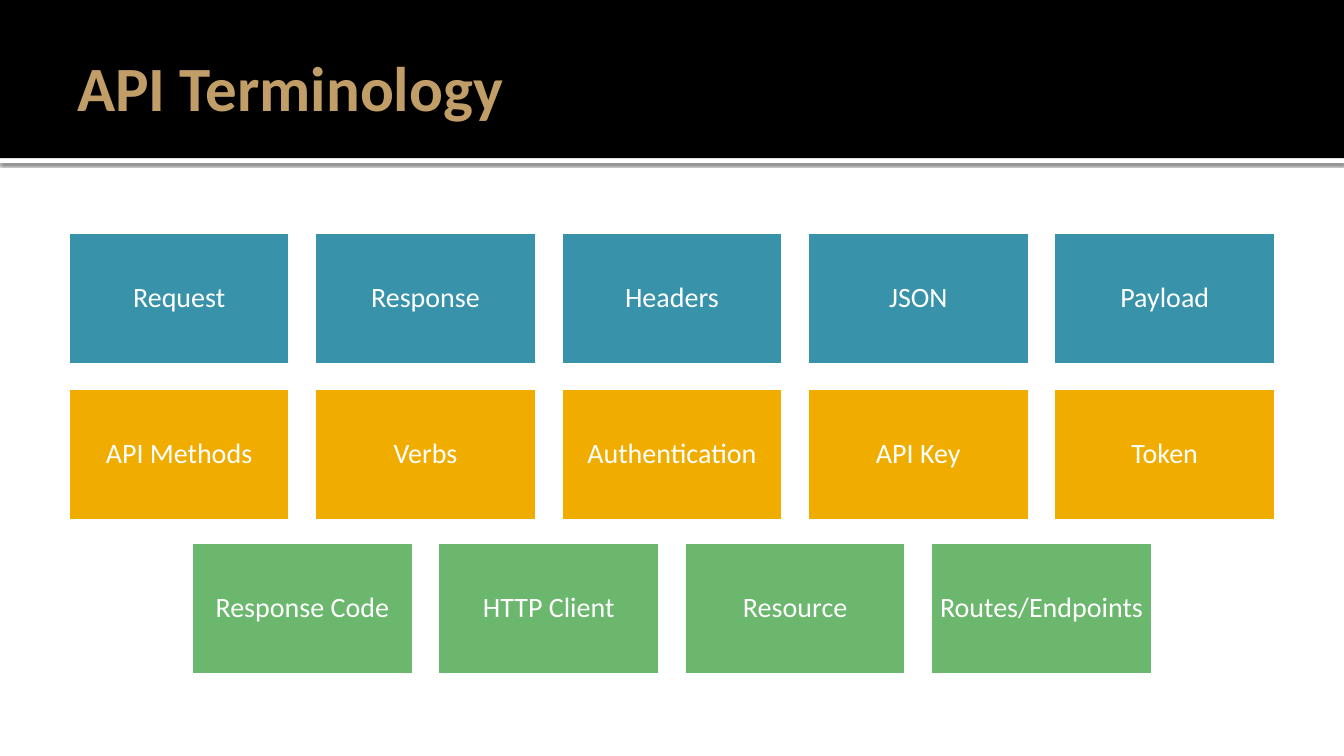
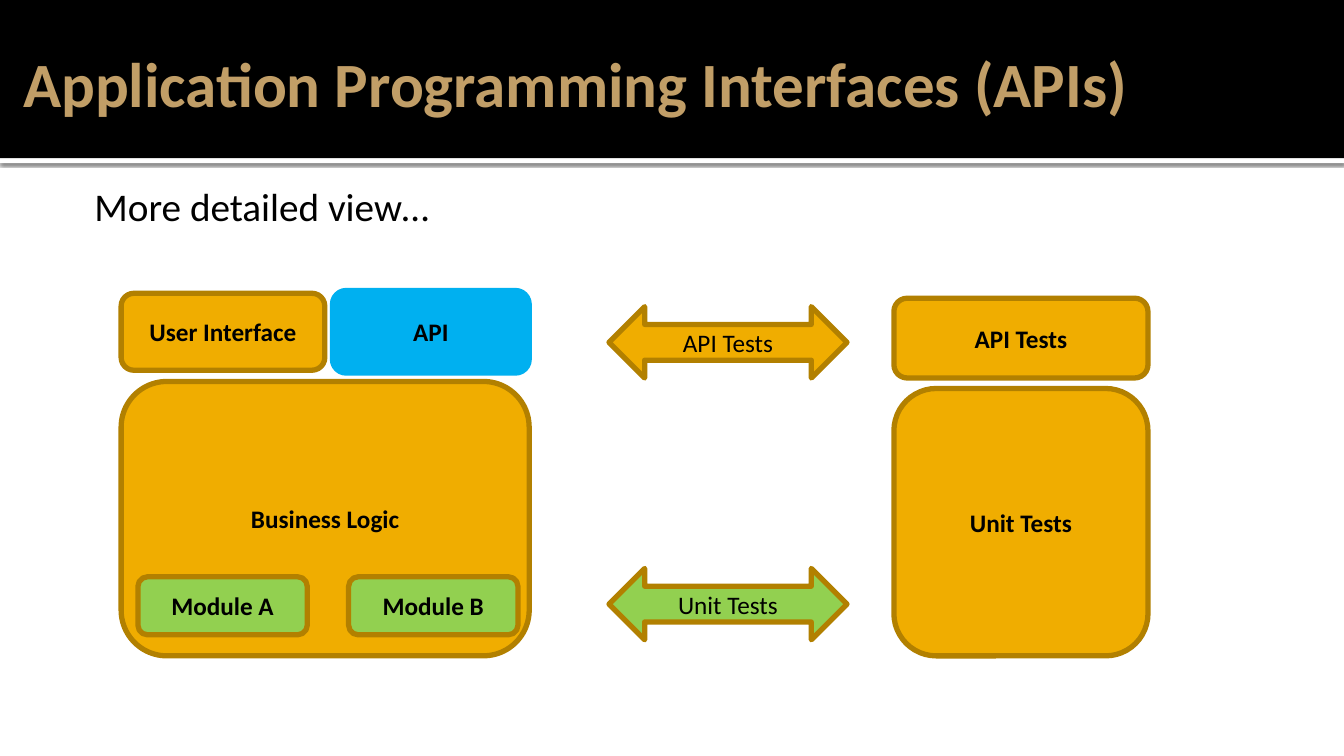
from lxml.etree import SubElement
from pptx import Presentation
from pptx.dml.color import RGBColor
from pptx.enum.shapes import MSO_SHAPE
from pptx.enum.text import MSO_ANCHOR, PP_ALIGN
from pptx.oxml.ns import qn
from pptx.util import Pt

FONT = "Calibri"
W, H = 960, 540
WHITE, BLACK, TAN = "FFFFFF", "000000", "C19E67"
GOLD, BROWN, GREEN, SKY = "F0AD00", "B28000", "92D050", "00B0F0"
LINE_W = 3.78

TERM_W, TERM_H, TERM_GAP = 160, 96, 16
TERMS = [
    (165, "3792AA", ["Request", "Response", "Headers", "JSON", "Payload"]),
    (276.5, GOLD, ["API Methods", "Verbs", "Authentication", "API Key", "Token"]),
    (386.5, "6BB76D", ["Response Code", "HTTP Client", "Resource", "Routes/Endpoints"]),
]

BLOCKS = [
    ("User Interface", (86.5, 209.5, 145.5, 55), GOLD, BROWN),
    ("Business Logic", (86.5, 272.5, 291.5, 196), GOLD, BROWN),
    ("API", (237.5, 207.5, 140.5, 59), SKY, SKY),
    ("Module A", (98.5, 412, 121, 41.5), GREEN, BROWN),
    ("Module B", (249, 412, 121, 41.5), GREEN, BROWN),
    ("API Tests", (638.5, 213, 181.5, 57), GOLD, BROWN),
    ("Unit Tests", (638.5, 277.5, 181.5, 191), GOLD, BROWN),
]
ARROWS = [
    ("API Tests", (435, 219, 170, 51), GOLD, BROWN),
    ("Unit Tests", (435, 406, 170, 51), GREEN, BROWN),
]


def rgb(value):
    return RGBColor.from_string(value)


def write(sp, text, size, color, bold=False, align=PP_ALIGN.CENTER,
          anchor=MSO_ANCHOR.MIDDLE, margins=(7.2, 3.6, 7.2, 3.6), spacing=None):
    tf = sp.text_frame
    tf.word_wrap = True
    tf.vertical_anchor = anchor
    tf.margin_left, tf.margin_top, tf.margin_right, tf.margin_bottom = map(Pt, margins)
    p = tf.paragraphs[0]
    p.alignment = align
    if spacing:
        p.line_spacing = spacing
    r = p.add_run()
    r.text = text
    r.font.name, r.font.size, r.font.bold = FONT, Pt(size), bold
    r.font.color.rgb = rgb(color)


def add_shape(s, kind, box, fill, line=None):
    sp = s.shapes.add_shape(kind, *map(Pt, box))
    sp.shadow.inherit = False
    sp.fill.solid()
    sp.fill.fore_color.rgb = rgb(fill)
    if line:
        sp.line.color.rgb = rgb(line)
        sp.line.width = Pt(LINE_W)
    else:
        sp.line.fill.background()
    return sp


def add_text(s, box, text, size, color, **style):
    write(s.shapes.add_textbox(*map(Pt, box)), text, size, color,
          align=PP_ALIGN.LEFT, **style)


def add_shadow(sp):
    effects = sp._element.spPr.find(qn("a:effectLst"))
    shadow = SubElement(effects, qn("a:outerShdw"), blurRad=str(Pt(2.5)),
                        dist=str(Pt(0.8)), dir="5400000", algn="t", rotWithShape="0")
    color = SubElement(shadow, qn("a:srgbClr"), val=BLACK)
    SubElement(color, qn("a:alpha"), val="60000")


def add_slide(prs, title, left, top):
    s = prs.slides.add_slide(prs.slide_layouts[6])
    add_shadow(add_shape(s, MSO_SHAPE.RECTANGLE, (0, 113, W, 3.6), WHITE))
    add_shape(s, MSO_SHAPE.RECTANGLE, (0, 0, W, 113), BLACK)
    add_text(s, (left, top, 864, 98.5), title, 45, TAN, bold=True,
             margins=(7.2, 3.6, 3.6, 3.6))
    return s


def terminology(prs):
    s = add_slide(prs, "API Terminology", 48, 12.5)
    pitch = TERM_W + TERM_GAP
    for top, color, terms in TERMS:
        left = (W - len(terms) * pitch + TERM_GAP) / 2
        for i, term in enumerate(terms):
            sp = add_shape(s, MSO_SHAPE.RECTANGLE,
                           (left + i * pitch, top, TERM_W, TERM_H), color, WHITE)
            write(sp, term, 20, WHITE, margins=(5.5,) * 4, spacing=0.9)


def interfaces(prs):
    s = add_slide(prs, "Application Programming Interfaces (APIs)", 9.5, 9.5)
    add_text(s, (67.5, 130, 850, 40), "More detailed view…", 28, BLACK,
             anchor=MSO_ANCHOR.TOP, margins=(0,) * 4)
    for kind, items, bold in ((MSO_SHAPE.ROUNDED_RECTANGLE, BLOCKS, True),
                              (MSO_SHAPE.LEFT_RIGHT_ARROW, ARROWS, False)):
        for text, box, fill, line in items:
            write(add_shape(s, kind, box, fill, line), text, 18, BLACK, bold=bold)


def main():
    prs = Presentation()
    prs.slide_width, prs.slide_height = Pt(W), Pt(H)
    terminology(prs)
    interfaces(prs)
    prs.save("out.pptx")


if __name__ == "__main__":
    main()
